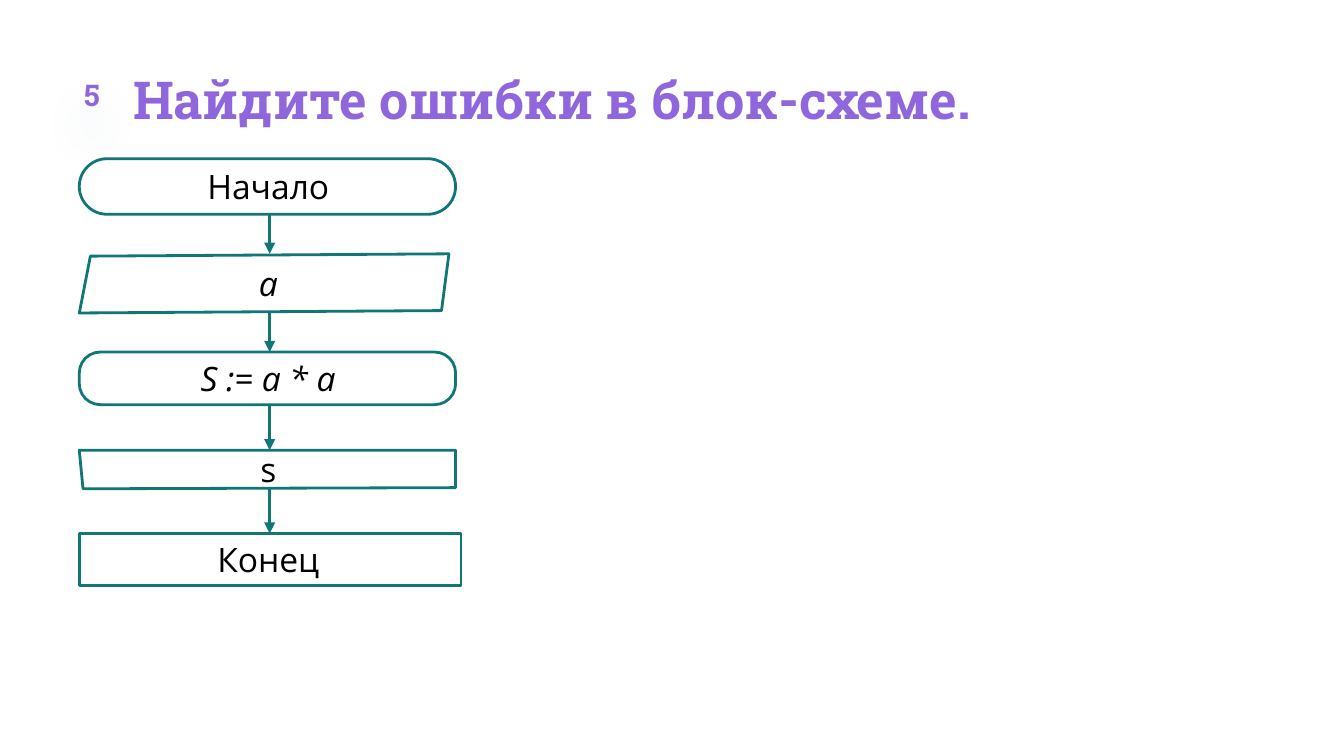
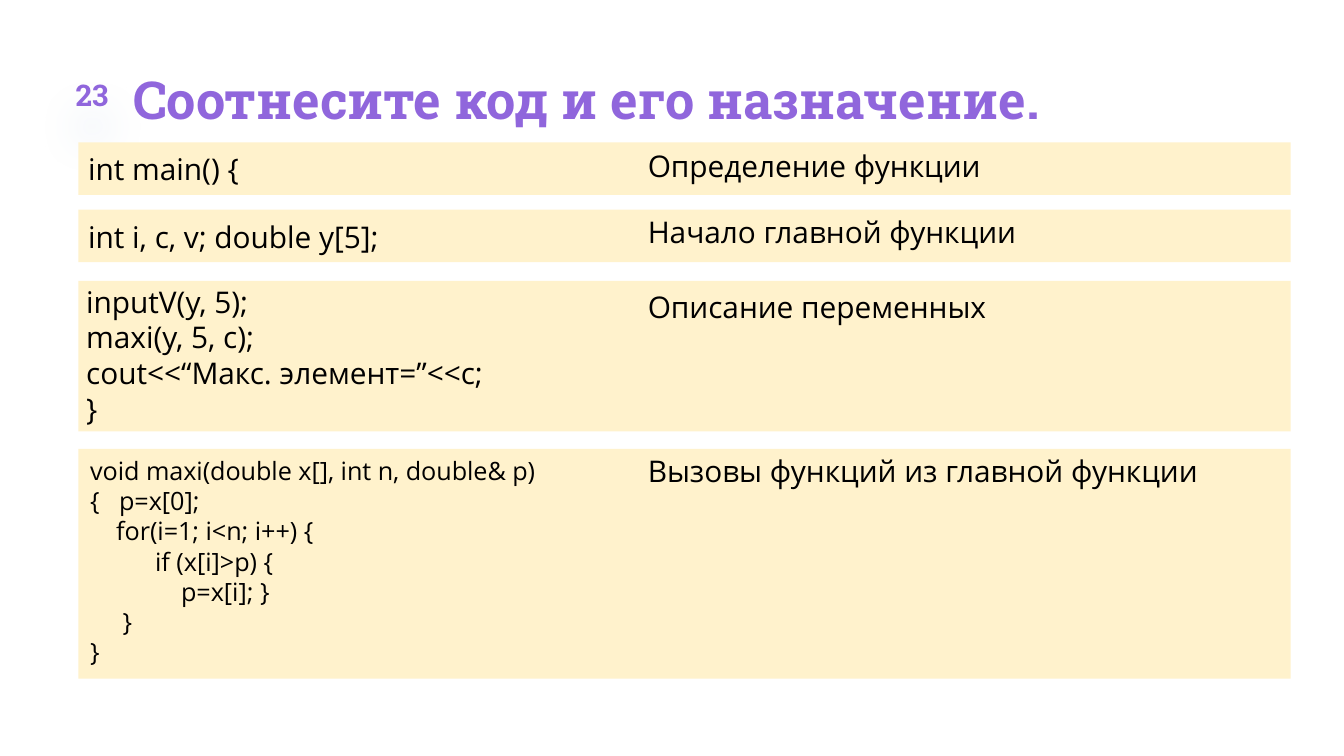
from lxml.etree import SubElement as Sub
from pptx import Presentation
from pptx.dml.color import RGBColor as Rgb
from pptx.enum.shapes import MSO_CONNECTOR as Conn, MSO_SHAPE as Kind
from pptx.enum.text import MSO_ANCHOR as Anchor, MSO_AUTO_SIZE as Auto, PP_ALIGN as Align
from pptx.oxml.ns import qn
from pptx.util import Pt

COLORS = {"title": "9066DC", "line": "107678", "band": "FFF2CC",
          "text": "000000", "glow": "9DB8D9"}
HEAD, BODY = "Roboto Slab", "Open Sans"


def color(name):
    return Rgb.from_string(COLORS[name])


def write(shape, lines, size, font=BODY, hue="text", align=Align.LEFT,
          anchor=Anchor.TOP, bold=False, italic=False, inset=0, space=None):
    frame = shape.text_frame
    frame.auto_size = Auto.NONE
    frame.word_wrap = True
    frame.vertical_anchor = anchor
    frame.margin_left = Pt(inset)
    frame.margin_top = frame.margin_right = frame.margin_bottom = 0
    for i, line in enumerate(lines):
        para = frame.add_paragraph() if i else frame.paragraphs[0]
        para.alignment = align
        if space:
            para.line_spacing = space
        run = para.add_run()
        run.text = line
        run.font.name, run.font.size = font, Pt(size)
        run.font.bold, run.font.italic = bold, italic
        run.font.color.rgb = color(hue)


def text(slide, box, lines, size, **style):
    write(slide.shapes.add_textbox(*map(Pt, box)), lines, size, **style)


def plain(slide, kind, box):
    """Add a preset shape with no fill, line or shadow."""
    shape = slide.shapes.add_shape(kind, *map(Pt, box))
    shape.shadow.inherit = False
    shape.fill.background()
    shape.line.fill.background()
    return shape


def stroke(item):
    item.line.color.rgb = color("line")
    item.line.width = Pt(1.5)


def glow(shape):
    """Cast a soft shadow below the shape."""
    effects = shape._element.spPr.find(qn("a:effectLst"))
    shade = Sub(effects, qn("a:outerShdw"), blurRad=str(Pt(22)),
                dist=str(Pt(16)), dir="5400000", algn="t", rotWithShape="0")
    tint = Sub(shade, qn("a:srgbClr"), val=COLORS["glow"])
    Sub(tint, qn("a:alpha"), val="40000")


def header(deck, number, name):
    """Add a slide with its title and number badge."""
    slide = deck.slides.add_slide(deck.slide_layouts[5])
    title = slide.shapes.title
    title.left, title.top, title.width, title.height = map(Pt, (71.3, 33.8, 620, 33.8))
    write(title, [name], 28, HEAD, "title", bold=True, space=1.06)
    badge = plain(slide, Kind.ROUNDED_RECTANGLE, (28, 29.5, 42.5, 42.5))
    glow(badge)
    write(badge, [number], 16, HEAD, "title", Align.CENTER, Anchor.MIDDLE, bold=True)
    return slide


def block(slide, box, form):
    """Draw a step: a corner ratio, or corners as shares of the box."""
    x, y, w, h = box
    if isinstance(form, tuple):
        dots = [(Pt(x + w * u), Pt(y + h * v)) for u, v in form]
        pen = slide.shapes.build_freeform(*dots[0])
        pen.add_line_segments(dots[1:], close=True)
        shape = pen.convert_to_shape()
        shape.shadow.inherit = False
        shape.fill.background()
    elif form:
        shape = plain(slide, Kind.ROUNDED_RECTANGLE, box)
        shape.adjustments[0] = form
    else:
        shape = plain(slide, Kind.RECTANGLE, box)
    stroke(shape)


def arrow(slide, x, top, end):
    link = slide.shapes.add_connector(Conn.STRAIGHT, Pt(x), Pt(top), Pt(x), Pt(end))
    stroke(link)
    Sub(link.line._get_or_add_ln(), qn("a:tailEnd"), type="triangle")
    Sub(link._element.spPr, qn("a:effectLst"))


def chart(slide, left, top, steps):
    """Stack the steps, each as rise, width, height, form, label, italic."""
    mid, last = left + 102, None
    for rise, w, h, form, label, slant in steps:
        y = top + rise
        block(slide, (left, y, w, h), form)
        text(slide, (left, y + h / 2 - 10.8, 202.5, 21.6), [label], 18,
             align=Align.CENTER, italic=slant)
        if last:
            arrow(slide, mid, last, y)
        last = y + h


def band(slide, box, code, size, pad, wide, note, drop):
    """Pair code with a note on a filled band."""
    x, y, w, h = box
    back = plain(slide, Kind.RECTANGLE, box)
    back.fill.solid()
    back.fill.fore_color.rgb = color("band")
    dx, dy = pad
    cell = plain(slide, Kind.ROUNDED_RECTANGLE, (x + dx, y + dy, wide, h - 2 * dy))
    write(cell, code, size)
    text(slide, (x + 295, y + drop, 331, 19.4), [note], 16, inset=10)


def flow(deck):
    slide = header(deck, "5", "Найдите ошибки в блок-схеме.")
    skew = ((0.03, 0.04), (1, 0), (0.98, 0.96), (0, 1))
    bent = ((0, 0), (1, 0), (1, 0.97), (0.01, 1))
    chart(slide, 42.5, 85, [
        (0, 201.6, 29.8, 0.5, "Начало", False),
        (51, 198, 31.7, skew, "a", True),
        (103.6, 201.6, 28.2, 0.4, "S := a * a", True),
        (156.2, 201.6, 20.7, bent, "s", False),
        (200.8, 204.5, 28, 0, "Конец", False)])


def match(deck):
    slide = header(deck, "23", "Соотнесите код и его назначение.")
    rows = [
        (76.3, 28.1, ["int main() {"], 16, (4.3, 3.6), 244,
         "Определение функции", 2.9),
        (112.3, 28.1, ["int i, c, v; double y[5];"], 16, (4.3, 3.6), 244,
         "Начало главной функции", 2.2),
        (150.5, 80.6, ["inputV(y, 5);", "maxi(y, 5, c);",
                       "cout<<“Макс. элемент=”<<c;", "}"], 16, (0, -2.9), 244,
         "Описание переменных", 4.3),
        (240.5, 123.1, ["void maxi(double x[], int n, double& p)", "{   p=x[0];",
                        "    for(i=1; i<n; i++) {", "          if (x[i]>p) {",
                        "              p=x[i]; }", "     }", "}"], 13.5, (0, -2.9), 334,
         "Вызовы функций из главной функции", 2.1)]
    for top, high, *rest in rows:
        band(slide, (42, top, 649.4, high), *rest)


def main():
    deck = Presentation()
    deck.slide_width, deck.slide_height = Pt(720), Pt(405)
    flow(deck)
    match(deck)
    deck.save("out.pptx")


if __name__ == "__main__":
    main()
